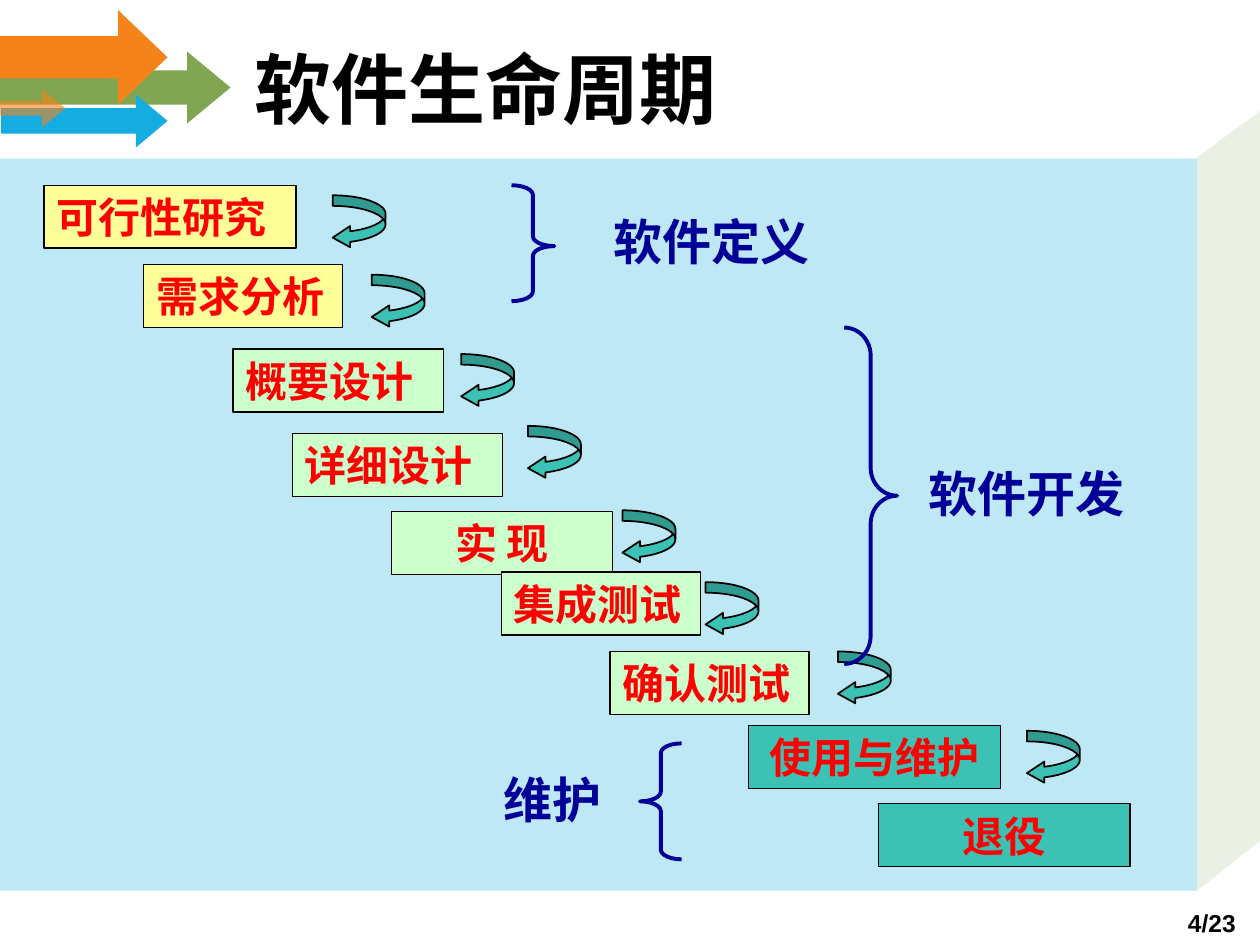
"""Build the software life cycle slide."""
from lxml.etree import SubElement
from pptx import Presentation
from pptx.dml.color import RGBColor
from pptx.enum.shapes import MSO_SHAPE
from pptx.enum.text import MSO_ANCHOR, PP_ALIGN
from pptx.oxml.ns import qn
from pptx.util import Inches, Pt

THEME = {
    "orange": "F6831A", "green": "81A551", "blue": "15ACE1",
    "yellow": "FFFF99", "mint": "CCFFCC", "teal": "3CC2B5",
    "red": "FF0000", "navy": "000099", "black": "000000",
    "title": 44, "group": 28, "step": 24, "page": 14,
    "head": "Arial", "body": "Times New Roman",
}
TITLE = "软件生命周期"
PAGE = "4/23"
LEFT, MID = PP_ALIGN.LEFT, PP_ALIGN.CENTER

PANEL = (0, 1.26, 9.5, 5.81)
SIDE = [(9.5, 1.25), (10.06, 0.84), (10.03, 6.65), (9.5, 7.07)]
BANNER = [
    ((0, 0.41, 1.83, 0.57), "green", (0.479, 0.604), 100),
    ((0, 0.08, 1.33, 0.75), "orange", (0.447, 0.523), 100),
    ((0.01, 0.75, 1.32, 0.42), "blue", (0.479, 0.597), 100),
    ((0, 0.71, 0.52, 0.3), "orange", (0.389, 0.624), 60),
]
STEPS = [
    ("可行性研究", 0.35, 1.47, 2, "yellow", LEFT),
    ("需求分析", 1.14, 2.1, 1.58, "yellow", LEFT),
    ("概要设计", 1.85, 2.77, 1.67, "mint", LEFT),
    ("详细设计", 2.32, 3.44, 1.67, "mint", LEFT),
    ("实 现", 3.11, 4.06, 1.75, "mint", MID),
    ("集成测试", 3.98, 4.54, 1.58, "mint", LEFT),
    ("确认测试", 4.84, 5.17, 1.58, "mint", LEFT),
    ("使用与维护", 5.94, 5.76, 2, "teal", MID),
    ("退役", 6.97, 6.38, 2, "teal", MID),
]
TURNS = [(2.64, 1.55), (2.95, 2.18), (3.66, 2.81), (4.19, 3.38),
         (4.94, 4.05), (5.6, 4.62), (6.65, 5.17), (8.15, 5.8)]
GROUPS = [
    ("软件定义", (4.77, 1.63, 2, 0.57), MSO_SHAPE.RIGHT_BRACE,
     (4.06, 1.47, 0.34, 0.92), 0.525),
    ("软件开发", (7.27, 3.63, 2, 0.57), MSO_SHAPE.RIGHT_BRACE,
     (6.7, 2.6, 0.42, 2.67), 0.5),
    ("维护", (3.9, 6.06, 1.12, 0.57), MSO_SHAPE.LEFT_BRACE,
     (5.08, 5.9, 0.33, 0.92), 0.5),
]


def color(name):
    return RGBColor.from_string(THEME[name])


def paint(shape, fill=None, line=None, width=1, alpha=100):
    shape.shadow.inherit = False
    if fill:
        shape.fill.solid()
        shape.fill.fore_color.rgb = color(fill)
        if alpha < 100:
            tone = shape.fill._xPr.find(qn("a:solidFill"))[0]
            SubElement(tone, qn("a:alpha"), val=str(alpha * 1000))
    else:
        shape.fill.background()
    if line:
        shape.line.color.rgb = color(line)
        shape.line.width = Pt(width)
    else:
        shape.line.fill.background()


def draw(kind, box, adjust=(), **look):
    shape = slide.shapes.add_shape(kind, *map(Inches, box))
    for i, value in enumerate(adjust):
        shape.adjustments[i] = value
    paint(shape, **look)
    return shape


def write(shape, text, size, font, tint, align=LEFT, anchor=MSO_ANCHOR.TOP):
    frame = shape.text_frame
    frame.text = text
    frame.word_wrap = True
    frame.vertical_anchor = anchor
    para = frame.paragraphs[0]
    para.alignment = align
    face = para.runs[0].font
    face.size, face.name, face.bold = Pt(THEME[size]), THEME[font], True
    face.color.rgb = color(tint)


def label(box, *style):
    write(slide.shapes.add_textbox(*map(Inches, box)), *style)


deck = Presentation()
deck.slide_width, deck.slide_height = Inches(10), Inches(7.5)
slide = deck.slides.add_slide(deck.slide_layouts[5])

points = [(Inches(x), Inches(y)) for x, y in SIDE]
pen = slide.shapes.build_freeform(*points[0])
pen.add_line_segments(points[1:], close=True)
paint(pen.convert_to_shape(), "green", alpha=16)
draw(MSO_SHAPE.RECTANGLE, PANEL, fill="blue", alpha=27)
for box, fill, adjust, alpha in BANNER:
    draw(MSO_SHAPE.RIGHT_ARROW, box, adjust, fill=fill, alpha=alpha)

for text, x, y, wide, fill, align in STEPS:
    step = draw(MSO_SHAPE.RECTANGLE, (x, y, wide, 0.5),
                fill=fill, line="black", width=0.75)
    write(step, text, "step", "body", "red", align)
for x, y in TURNS:
    draw(MSO_SHAPE.CURVED_LEFT_ARROW, (x, y, 0.42, 0.42), (0.2, 0.4, 0.33),
         fill="teal", line="black")
for text, spot, kind, box, tip in GROUPS:
    curl = box[3] / box[2] / 12
    draw(kind, box, (curl, tip), line="navy", width=2.25)
    label(spot, text, "group", "body", "navy")

title = slide.shapes.title
title.left, title.top = Inches(1.92), Inches(0.11)
title.width, title.height = Inches(7.5), Inches(1.18)
write(title, TITLE, "title", "head", "black", LEFT, MSO_ANCHOR.MIDDLE)
label((9.33, 7.16, 0.75, 0.33), PAGE, "page", "head", "black")

deck.save("out.pptx")
